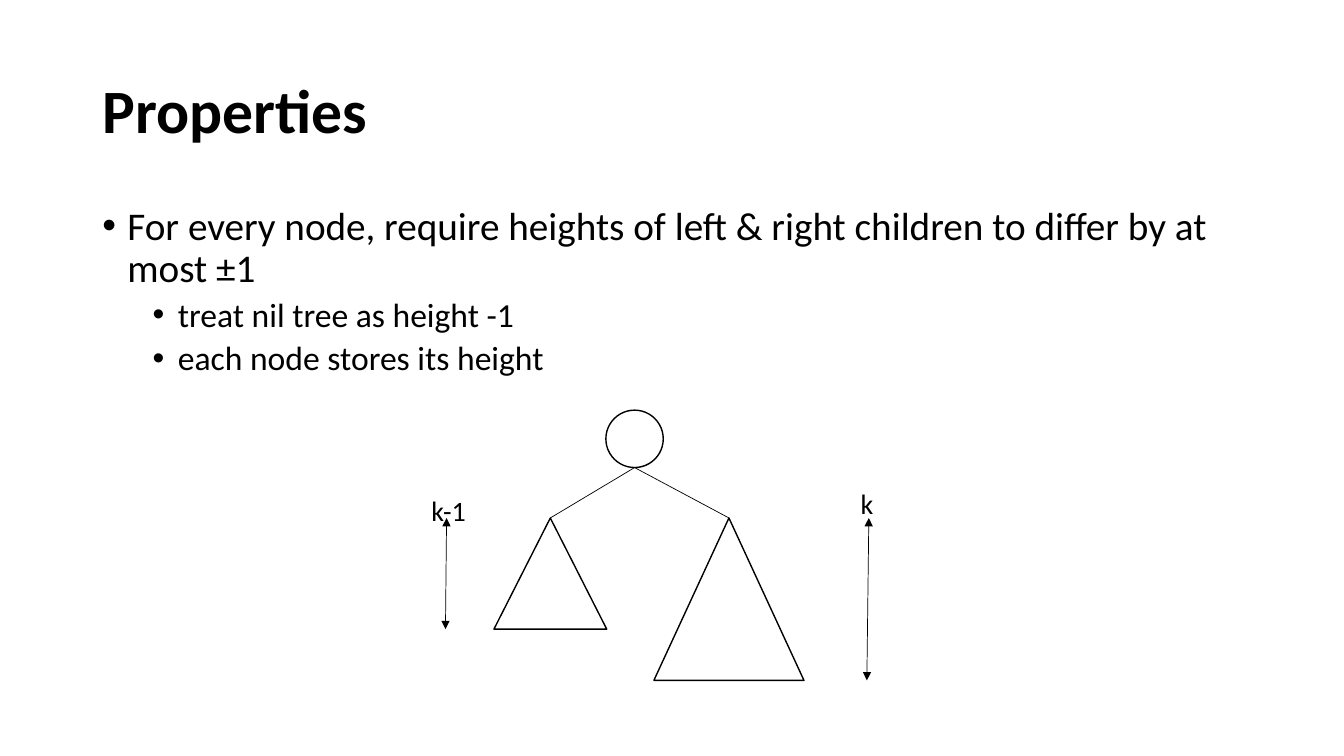
"""Build the slide on height-balance properties of a tree."""
from lxml import etree
from pptx import Presentation
from pptx.dml.color import RGBColor
from pptx.enum import shapes, text
from pptx.oxml import ns
from pptx.util import Pt

BLACK = RGBColor(0, 0, 0)
FONT = "Calibri"

TITLE = "Properties"
BULLETS = [
    (0, "For every node, require heights of left & right children to differ by at most ±1"),
    (1, "treat nil tree as height -1"),
    (1, "each node stores its height"),
]
BULLET_STYLES = [
    {"size": 28, "before": 10, "margin": 18},
    {"size": 24, "before": 5, "margin": 54},
]
HANGING = 18
NODE = (432.8, 293, 41)
SUBTREE_TOP = 370
SUBTREES = [
    {"left": 352.8, "width": 80.6, "height": 79.4, "arrow": (319, 318.2),
     "label": "k-1", "label_at": (301, 349.2)},
    {"left": 467.1, "width": 107.2, "height": 116, "arrow": (620.6, 619.2),
     "label": "k", "label_at": (607.7, 344.2)},
]
LABEL_SIZE = (46, 31.5)


def points(*values):
    return [Pt(value) for value in values]


def set_font(paragraph, size):
    paragraph.font.name = FONT
    paragraph.font.size = Pt(size)
    paragraph.font.color.rgb = BLACK


def place(shape, *box):
    shape.left, shape.top, shape.width, shape.height = points(*box)


def add_outline(slide, kind, *box):
    shape = slide.shapes.add_shape(kind, *points(*box))
    shape.shadow.inherit = False
    shape.fill.background()
    shape.line.color.rgb = BLACK
    shape.line.width = Pt(1)
    return shape


def add_line(slide, *ends, arrows=False):
    line = slide.shapes.add_connector(shapes.MSO_CONNECTOR.STRAIGHT, *points(*ends))
    line.line.color.rgb = BLACK
    line.line.width = Pt(0.5)
    if arrows:
        outline = line.line._get_or_add_ln()
        for end in ("a:headEnd", "a:tailEnd"):
            etree.SubElement(outline, ns.qn(end), type="triangle")
    etree.SubElement(line._element.spPr, ns.qn("a:effectLst"))
    return line


def add_title(slide):
    title = slide.shapes.title
    place(title, 66, 28.8, 828, 104.4)
    title.text_frame.text = TITLE
    title.text_frame.vertical_anchor = text.MSO_ANCHOR.MIDDLE
    paragraph = title.text_frame.paragraphs[0]
    paragraph.alignment = text.PP_ALIGN.LEFT
    paragraph.line_spacing = 0.9
    set_font(paragraph, 44)
    paragraph.font.bold = True


def add_bullets(slide):
    frame = slide.shapes.add_textbox(*points(66, 144, 828, 342.6)).text_frame
    frame.word_wrap = True
    for index, (level, wording) in enumerate(BULLETS):
        style = BULLET_STYLES[level]
        paragraph = frame.add_paragraph() if index else frame.paragraphs[0]
        paragraph.text = wording
        paragraph.level = level
        paragraph.line_spacing = 0.9
        paragraph.space_before = Pt(style["before"])
        set_font(paragraph, style["size"])
        properties = paragraph._p.get_or_add_pPr()
        properties.set("marL", str(Pt(style["margin"])))
        properties.set("indent", str(-Pt(HANGING)))
        bullet_font = etree.Element(ns.qn("a:buFont"), typeface="Arial")
        bullet = etree.Element(ns.qn("a:buChar"), char="•")
        default_run = properties.find(ns.qn("a:defRPr"))
        default_run.addprevious(bullet_font)
        default_run.addprevious(bullet)


def add_tree(slide):
    left, top, diameter = NODE
    add_outline(slide, shapes.MSO_SHAPE.OVAL, left, top, diameter, diameter)
    node_x, node_bottom = left + diameter / 2, top + diameter
    for subtree in SUBTREES:
        left, width, height = subtree["left"], subtree["width"], subtree["height"]
        triangle = add_outline(slide, shapes.MSO_SHAPE.ISOSCELES_TRIANGLE,
                               left, SUBTREE_TOP, width, height)
        edge = add_line(slide, node_x, node_bottom, left + width / 2, SUBTREE_TOP)
        edge.end_connect(triangle, 0)
        arrow_top, arrow_bottom = subtree["arrow"]
        add_line(slide, arrow_top, SUBTREE_TOP, arrow_bottom, SUBTREE_TOP + height,
                 arrows=True)
        label = slide.shapes.add_textbox(*points(*subtree["label_at"], *LABEL_SIZE))
        label.text_frame.word_wrap = True
        label.text_frame.text = subtree["label"]
        set_font(label.text_frame.paragraphs[0], 20)


def main():
    presentation = Presentation()
    presentation.slide_width, presentation.slide_height = points(960, 540)
    slide = presentation.slides.add_slide(presentation.slide_layouts[5])
    add_title(slide)
    add_bullets(slide)
    add_tree(slide)
    presentation.save("out.pptx")


if __name__ == "__main__":
    main()
